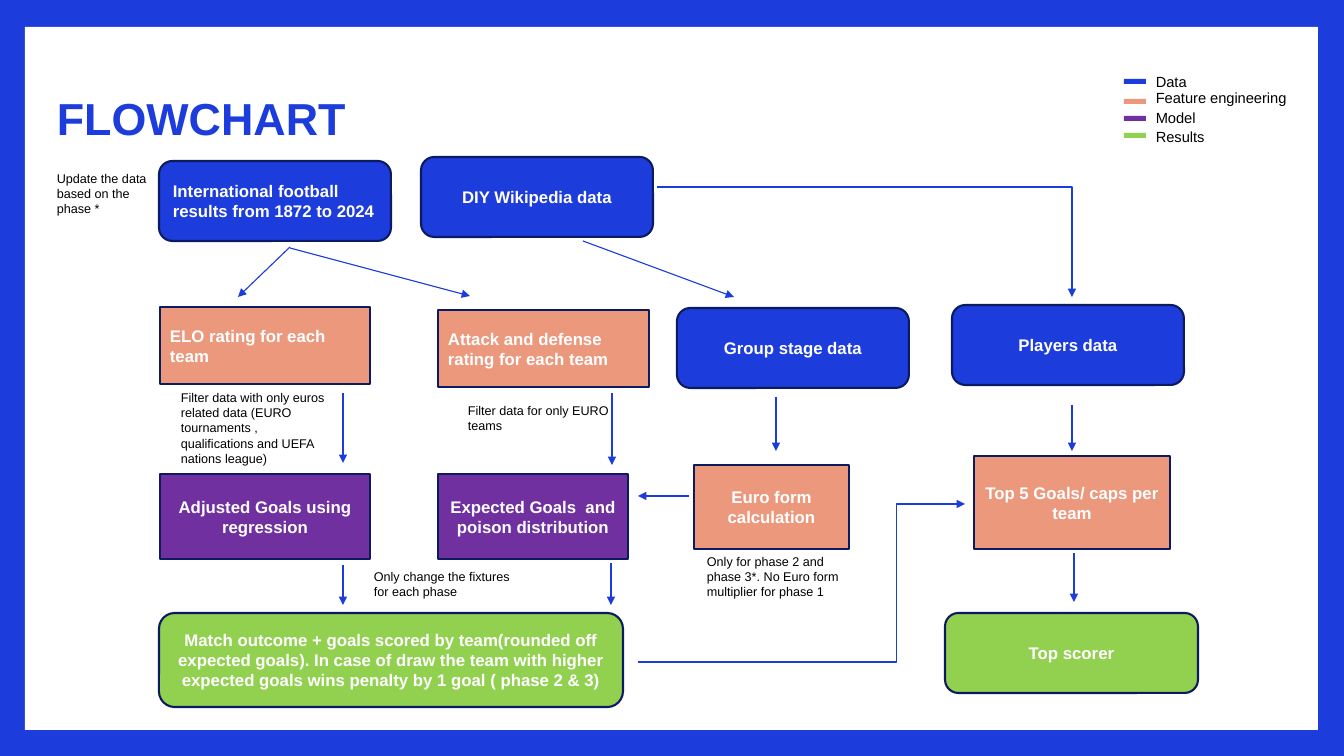
import lxml.etree
import pptx
import pptx.util
import pptx.dml.color
import pptx.enum.shapes
import pptx.enum.text
import pptx.oxml.ns

RGBColor = pptx.dml.color.RGBColor
SHAPE = pptx.enum.shapes.MSO_SHAPE
LINE = pptx.enum.shapes.MSO_CONNECTOR
ALIGN = pptx.enum.text.PP_ALIGN
ANCHOR = pptx.enum.text.MSO_ANCHOR
AUTOSIZE = pptx.enum.text.MSO_AUTO_SIZE

BLUE = RGBColor(0x1C, 0x3C, 0xDB)
NAVY = RGBColor(0x0C, 0x1A, 0x60)
SALMON = RGBColor(0xEC, 0x98, 0x7D)
PURPLE = RGBColor(0x70, 0x30, 0xA0)
GREEN = RGBColor(0x92, 0xD0, 0x50)
WHITE = RGBColor(0xFF, 0xFF, 0xFF)
BLACK = RGBColor(0x00, 0x00, 0x00)

ROUND, RECT = SHAPE.ROUNDED_RECTANGLE, SHAPE.RECTANGLE
LEFT, CENTER = ALIGN.LEFT, ALIGN.CENTER


def px(*lengths):
    return [pptx.util.Emu(round(n * 914400 / 100.8)) for n in lengths]


class Flowchart:
    """Draws the elements of the flowchart on one slide in a shared style."""

    font = "Arial"

    def __init__(self, slide):
        self.s = slide
        slide.background.fill.solid()
        slide.background.fill.fore_color.rgb = BLUE

    def add_text(self, tf, text, size, color, bold=False, align=LEFT):
        tf.word_wrap = True
        p = tf.paragraphs[0]
        p.alignment = align
        r = p.add_run()
        r.text = text
        r.font.name = self.font
        r.font.size = pptx.util.Pt(size)
        r.font.bold = bold
        r.font.color.rgb = color
        return p

    def block(self, kind, x, y, w, h, fill):
        sp = self.s.shapes.add_shape(kind, *px(x, y, w, h))
        sp.shadow.inherit = False
        sp.fill.solid()
        sp.fill.fore_color.rgb = fill
        sp.line.fill.background()
        return sp

    def step(self, kind, x, y, w, h, fill, text, align=CENTER):
        sp = self.block(kind, x, y, w, h, fill)
        sp.line.color.rgb = NAVY
        sp.line.width = pptx.util.Pt(1.5)
        sp.text_frame.vertical_anchor = ANCHOR.MIDDLE
        self.add_text(sp.text_frame, text, 12, WHITE, True, align)

    def label(self, x, y, w, h, text, size=9):
        tf = self.s.shapes.add_textbox(*px(x, y, w, h)).text_frame
        self.add_text(tf, text, size, BLACK)
        tf.auto_size = AUTOSIZE.SHAPE_TO_FIT_TEXT

    def title(self, x, y, w, h, text):
        tf = self.s.shapes.add_textbox(*px(x, y, w, h)).text_frame
        tf.vertical_anchor = ANCHOR.MIDDLE
        self.add_text(tf, text, 32, BLUE, True).line_spacing = 0.9

    def arrow(self, x1, y1, x2, y2, bend=None):
        kind = LINE.STRAIGHT if bend is None else LINE.ELBOW
        c = self.s.shapes.add_connector(kind, *px(x1, y1, x2, y2))
        c.line.color.rgb = BLUE
        c.line.width = pptx.util.Pt(0.79)
        qn, sub = pptx.oxml.ns.qn, lxml.etree.SubElement
        sp_pr = c._element.spPr
        sub(sp_pr.find(qn("a:ln")), qn("a:tailEnd"), type="triangle")
        sub(sp_pr, qn("a:effectLst"))
        if bend is not None:
            guides = next(sp_pr.iter(qn("a:avLst")))
            sub(guides, qn("a:gd"), name="adj1", fmla=f"val {round(bend * 100000)}")


STEPS = [
    (ROUND, 159, 161, 232, 80, BLUE, "International football results from 1872 to 2024", LEFT),
    (ROUND, 421, 157, 232, 80, BLUE, "DIY Wikipedia data"),
    (RECT, 160, 307, 210, 77, SALMON, "ELO rating for each team", LEFT),
    (RECT, 438, 310, 211, 77, SALMON, "Attack and defense rating for each team", LEFT),
    (ROUND, 677, 308, 232, 80, BLUE, "Group stage data"),
    (ROUND, 952, 305, 232, 80, BLUE, "Players data"),
    (RECT, 160, 474, 210, 85, PURPLE, "Adjusted Goals using regression"),
    (RECT, 438, 474, 190, 85, PURPLE, "Expected Goals  and poison distribution"),
    (RECT, 694, 465, 155, 84, SALMON, "Euro form calculation"),
    (RECT, 974, 456, 196, 93, SALMON, "Top 5 Goals/ caps per team"),
    (ROUND, 159, 613, 464, 94, GREEN,
     "Match outcome + goals scored by team(rounded off expected goals). "
     "In case of draw the team with higher expected goals wins penalty by 1 goal ( phase 2 & 3)"),
    (ROUND, 945, 613, 253, 80, GREEN, "Top scorer"),
]

ARROWS = [
    (290, 247, 238, 297),
    (290, 248, 470, 296),
    (583, 241, 734, 297),
    (657, 187, 1072, 297, 1),
    (343, 393, 343, 463),
    (612, 393, 612, 465),
    (776, 397, 776, 451),
    (1072, 405, 1072, 451),
    (689, 496, 638, 496),
    (343, 565, 343, 605),
    (611, 563, 611, 605),
    (1074, 553, 1074, 602),
    (638, 662, 965, 504, 0.79),
]

LABELS = [
    (47, 166, 117, 56, "Update the data based on the phase *"),
    (171, 385, 172, 87,
     "Filter data with only euros related data (EURO tournaments , "
     "qualifications and UEFA nations league)"),
    (458, 398, 172, 40, "Filter data for only EURO teams"),
    (697, 549, 156, 56, "Only for phase 2 and phase 3*. No Euro form multiplier for phase 1"),
    (364, 564, 172, 40, "Only change the fixtures for each phase"),
]

LEGEND = [
    (BLUE, 79, 68, "Data"),
    (SALMON, 99, 84, "Feature engineering"),
    (PURPLE, 116, 104, "Model"),
    (GREEN, 133, 123, "Results"),
]


def main():
    prs = pptx.Presentation()
    prs.slide_width, prs.slide_height = px(1344, 756)
    chart = Flowchart(prs.slides.add_slide(prs.slide_layouts[6]))
    chart.block(RECT, 25, 27, 1293, 703, WHITE)
    chart.title(47, 46, 1089, 149, "FLOWCHART")
    for arrow in ARROWS:
        chart.arrow(*arrow)
    for step in STEPS:
        chart.step(*step)
    for label in LABELS:
        chart.label(*label)
    for color, key_y, text_y, text in LEGEND:
        chart.block(RECT, 1124, key_y, 22, 5, color)
        chart.label(1146, text_y, 167, 28, text, 10.5)
    prs.save("out.pptx")


if __name__ == "__main__":
    main()
